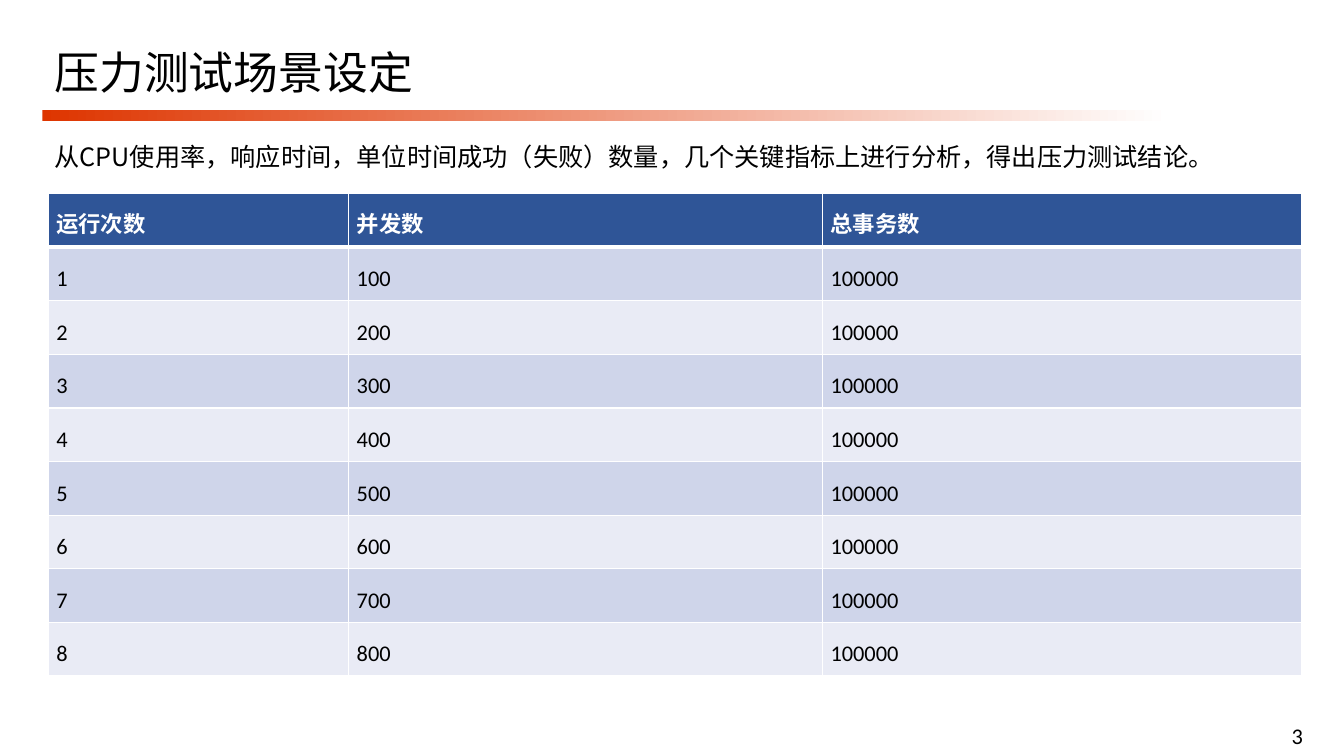
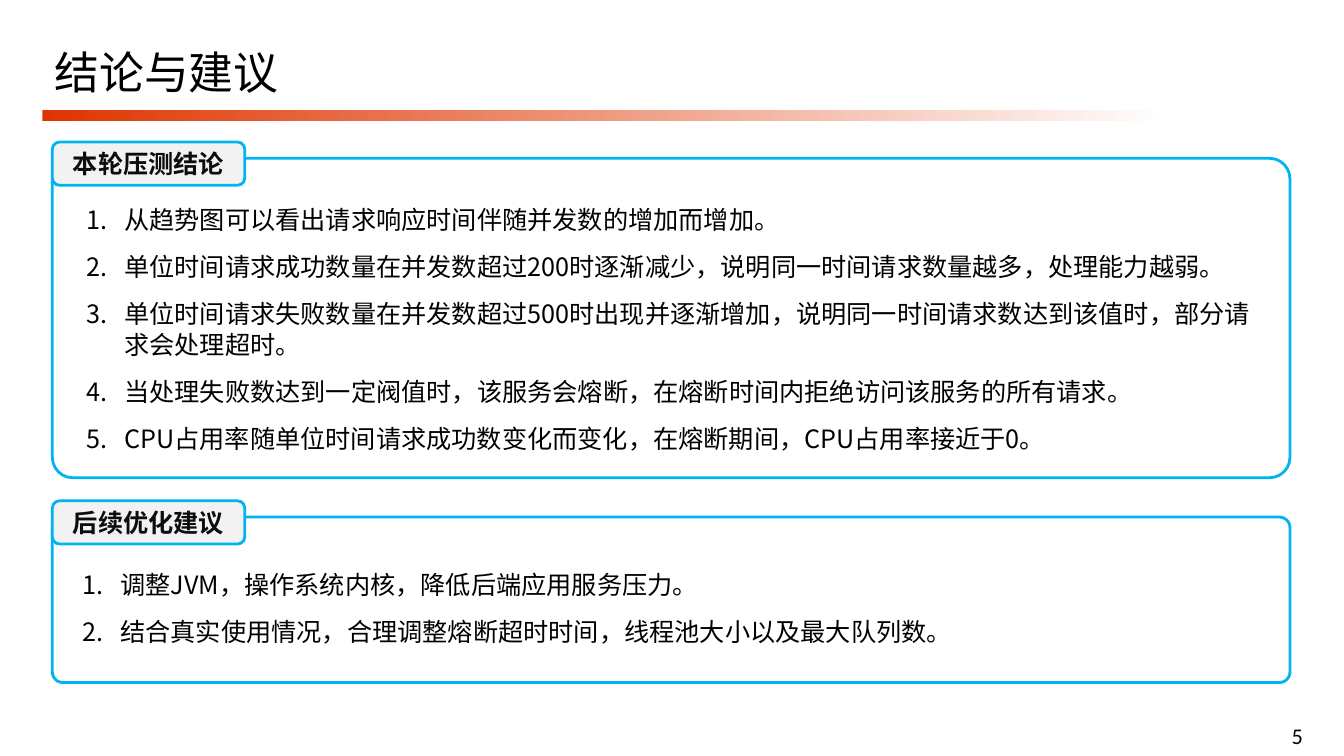
from dataclasses import dataclass

from lxml.etree import SubElement
from pptx import Presentation
from pptx.dml.color import RGBColor
from pptx.enum.shapes import MSO_SHAPE
from pptx.enum.text import MSO_ANCHOR, MSO_AUTO_SIZE, PP_ALIGN
from pptx.oxml.ns import qn
from pptx.shapes.autoshape import Shape
from pptx.slide import Slide
from pptx.table import _Cell
from pptx.text.text import TextFrame, _Paragraph
from pptx.util import Cm, Pt

# Shared look
CHINESE_FONT = "Noto Sans CJK SC"
LATIN_FONT = "Calibri"
BLACK, WHITE = "000000", "FFFFFF"
BAND_RED = "DE3500"
FRAME_BLUE = "00B4F1"
TAG_GREY, TAG_TEXT = "F2F2F2", "0D0D0D"
HEADER_BLUE = "2F5597"
ROW_FILLS = ("CFD5EA", "E9EBF5")

# Layouts of the default template
TITLE_AND_CONTENT, TWO_CONTENT = 1, 3


@dataclass(frozen=True)
class Box:
    """A rectangle in centimetres."""
    left: float
    top: float
    width: float
    height: float

    def lengths(self) -> tuple[Cm, Cm, Cm, Cm]:
        return Cm(self.left), Cm(self.top), Cm(self.width), Cm(self.height)


@dataclass(frozen=True)
class Panel:
    """A framed numbered list with a heading tag."""
    heading: str
    frame: Box
    list_box: Box
    items: tuple[str, ...]


TITLE_BOX = Box(1.12, 0.89, 31.55, 2.01)
BAND_BOX = Box(1.07, 2.77, 28.42, 0.28)
PAGE_NUMBER_BOX = Box(31.5, 18.06, 2.39, 0.94)
INTRO_BOX = Box(1.12, 3.43, 31.24, 1.02)

TABLE_LEFT, TABLE_TOP = 1.22, 4.88
COLUMN_WIDTHS = (7.57, 11.94, 12.06)
ROW_HEIGHT = 1.35
CELL_MARGIN = Cm(0.2)

TAG_WIDTH, TAG_HEIGHT, TAG_RISE = 4.85, 1.09, 0.41
LIST_INDENT = Cm(0.95)

INTRO = "从CPU使用率，响应时间，单位时间成功（失败）数量，几个关键指标上进行分析，得出压力测试结论。"
TABLE_ROWS = [("运行次数", "并发数", "总事务数")] + [
    (str(run), str(run * 100), "100000") for run in range(1, 9)
]
PANELS = (
    Panel(
        "本轮压测结论",
        Box(1.32, 3.99, 31.19, 8.05),
        Box(1.93, 5.03, 30, 7.77),
        (
            "从趋势图可以看出请求响应时间伴随并发数的增加而增加。",
            "单位时间请求成功数量在并发数超过200时逐渐减少，说明同一时间请求数量越多，处理能力越弱。",
            "单位时间请求失败数量在并发数超过500时出现并逐渐增加，说明同一时间请求数达到该值时，部分请求会处理超时。",
            "当处理失败数达到一定阀值时，该服务会熔断，在熔断时间内拒绝访问该服务的所有请求。",
            "CPU占用率随单位时间请求成功数变化而变化，在熔断期间，CPU占用率接近于0。",
        ),
    ),
    Panel(
        "后续优化建议",
        Box(1.32, 13.03, 31.19, 4.17),
        Box(1.83, 14.22, 30, 2.24),
        (
            "调整JVM，操作系统内核，降低后端应用服务压力。",
            "结合真实使用情况，合理调整熔断超时时间，线程池大小以及最大队列数。",
        ),
    ),
)


def color(hex_value: str) -> RGBColor:
    return RGBColor.from_string(hex_value)


# Text helpers
def add_run(paragraph: _Paragraph, text: str, size: float, hex_color: str = BLACK,
            bold: bool = False, font_name: str = CHINESE_FONT) -> None:
    run = paragraph.add_run()
    run.text = text
    run.font.size = Pt(size)
    run.font.bold = bold
    run.font.name = font_name
    run.font.color.rgb = color(hex_color)
    SubElement(run.font._element, qn("a:ea"), typeface=CHINESE_FONT)


def place(shape: Shape, box: Box, anchor: MSO_ANCHOR = MSO_ANCHOR.TOP) -> TextFrame:
    """Move a text shape and return its prepared text frame."""
    shape.left, shape.top, shape.width, shape.height = box.lengths()
    frame = shape.text_frame
    frame.word_wrap = True
    frame.auto_size = MSO_AUTO_SIZE.NONE
    frame.vertical_anchor = anchor
    return frame


def set_bullet(paragraph: _Paragraph, numbered: bool) -> None:
    properties = paragraph._p.get_or_add_pPr()
    indent = LIST_INDENT if numbered else 0
    properties.set("marL", str(int(indent)))
    properties.set("indent", str(-int(indent)))
    if numbered:
        SubElement(properties, qn("a:buAutoNum"), type="arabicPeriod")
    else:
        SubElement(properties, qn("a:buNone"))


def fill_numbered_list(placeholder: Shape, box: Box, items: tuple[str, ...]) -> None:
    frame = place(placeholder, box)
    for index, item in enumerate(items):
        paragraph = frame.add_paragraph() if index else frame.paragraphs[0]
        paragraph.space_before = paragraph.space_after = Pt(6)
        set_bullet(paragraph, numbered=True)
        add_run(paragraph, item, 18)


# Parts every slide has
def add_base_slide(presentation: Presentation, layout: int, title: str,
                   page_number: int) -> Slide:
    slide = presentation.slides.add_slide(presentation.slide_layouts[layout])

    # Gradient band under the title
    band = slide.shapes.add_shape(MSO_SHAPE.RECTANGLE, *BAND_BOX.lengths())
    band.shadow.inherit = False
    band.line.fill.background()
    band.fill.gradient()
    band.fill.gradient_angle = 0
    for stop, position, hex_color in zip(band.fill.gradient_stops, (0, 1), (BAND_RED, WHITE)):
        stop.position = position
        stop.color.rgb = color(hex_color)

    # Title
    paragraph = place(slide.shapes.title, TITLE_BOX, MSO_ANCHOR.MIDDLE).paragraphs[0]
    paragraph.alignment = PP_ALIGN.LEFT
    paragraph.line_spacing = 0.9
    add_run(paragraph, title, 32)

    # Page number
    number_box = slide.shapes.add_textbox(*PAGE_NUMBER_BOX.lengths())
    paragraph = place(number_box, PAGE_NUMBER_BOX, MSO_ANCHOR.MIDDLE).paragraphs[0]
    paragraph.alignment = PP_ALIGN.CENTER
    add_run(paragraph, str(page_number), 16, font_name=LATIN_FONT)
    return slide


# Table
def set_borders(cell: _Cell, top: float, bottom: float) -> None:
    properties = cell._tc.get_or_add_tcPr()
    widths = {"a:lnL": 1, "a:lnR": 1, "a:lnT": top, "a:lnB": bottom}
    for tag, width in widths.items():
        line = SubElement(properties, qn(tag), w=str(int(Pt(width))))
        fill = SubElement(line, qn("a:solidFill"))
        SubElement(fill, qn("a:srgbClr"), val=WHITE)


def add_scenario_table(slide: Slide) -> None:
    box = Box(TABLE_LEFT, TABLE_TOP, sum(COLUMN_WIDTHS), ROW_HEIGHT * len(TABLE_ROWS))
    table = slide.shapes.add_table(len(TABLE_ROWS), len(COLUMN_WIDTHS), *box.lengths()).table
    for column, width in zip(table.columns, COLUMN_WIDTHS):
        column.width = Cm(width)
    for row_index, values in enumerate(TABLE_ROWS):
        is_header = row_index == 0
        table.rows[row_index].height = Cm(ROW_HEIGHT)
        fill_color = HEADER_BLUE if is_header else ROW_FILLS[(row_index - 1) % 2]
        for column_index, value in enumerate(values):
            cell = table.cell(row_index, column_index)
            cell.vertical_anchor = MSO_ANCHOR.BOTTOM
            cell.margin_left = cell.margin_right = CELL_MARGIN
            cell.margin_top = cell.margin_bottom = CELL_MARGIN
            # Borders come before the fill in the cell properties
            set_borders(cell, top=3 if row_index == 1 else 1, bottom=3 if is_header else 1)
            cell.fill.solid()
            cell.fill.fore_color.rgb = color(fill_color)
            add_run(cell.text_frame.paragraphs[0], value, 16,
                    WHITE if is_header else BLACK, is_header, LATIN_FONT)


# Panels
def add_rounded_box(slide: Slide, box: Box) -> Shape:
    shape = slide.shapes.add_shape(MSO_SHAPE.ROUNDED_RECTANGLE, *box.lengths())
    shape.shadow.inherit = False
    shape.fill.background()
    shape.line.color.rgb = color(FRAME_BLUE)
    shape.line.width = Pt(2)
    return shape


def add_panel(slide: Slide, panel: Panel, placeholder: Shape) -> None:
    frame = add_rounded_box(slide, panel.frame)
    frame.adjustments[0] = 0.064

    tag_box = Box(panel.frame.left, panel.frame.top - TAG_RISE, TAG_WIDTH, TAG_HEIGHT)
    tag = add_rounded_box(slide, tag_box)
    tag.fill.solid()
    tag.fill.fore_color.rgb = color(TAG_GREY)
    paragraph = place(tag, tag_box, MSO_ANCHOR.MIDDLE).paragraphs[0]
    paragraph.alignment = PP_ALIGN.CENTER
    add_run(paragraph, panel.heading, 18, TAG_TEXT, bold=True)

    fill_numbered_list(placeholder, panel.list_box, panel.items)


# Slides
def build_scenario_slide(presentation: Presentation) -> None:
    slide = add_base_slide(presentation, TITLE_AND_CONTENT, "压力测试场景设定", 3)
    add_scenario_table(slide)
    paragraph = place(slide.placeholders[1], INTRO_BOX).paragraphs[0]
    paragraph.space_before = Pt(0)
    set_bullet(paragraph, numbered=False)
    add_run(paragraph, INTRO, 18)


def build_conclusion_slide(presentation: Presentation) -> None:
    slide = add_base_slide(presentation, TWO_CONTENT, "结论与建议", 5)
    for index, panel in enumerate(PANELS, start=1):
        add_panel(slide, panel, slide.placeholders[index])


def main() -> None:
    presentation = Presentation()
    presentation.slide_width = Cm(33.87)
    presentation.slide_height = Cm(19.05)
    build_scenario_slide(presentation)
    build_conclusion_slide(presentation)
    presentation.save("out.pptx")


if __name__ == "__main__":
    main()
